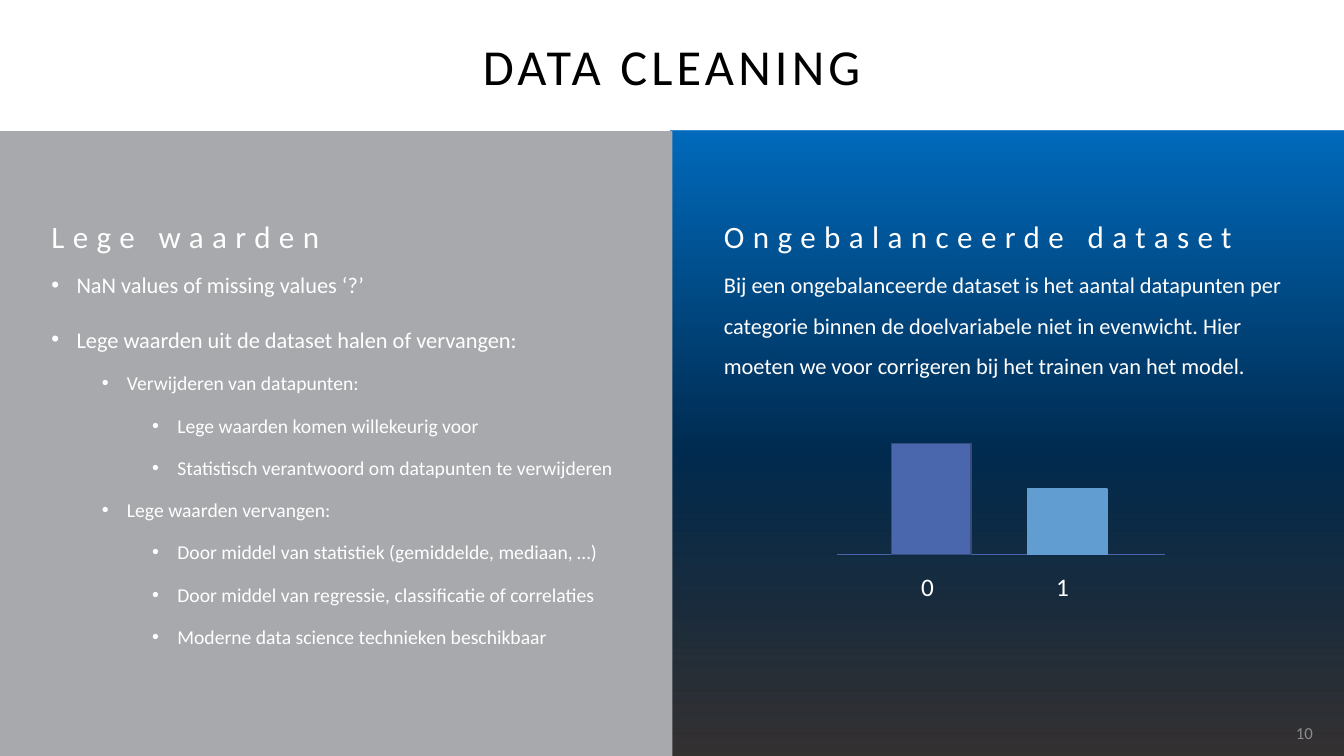
from lxml import etree
from pptx import Presentation
from pptx.dml.color import RGBColor
from pptx.enum.shapes import MSO_CONNECTOR, MSO_SHAPE
from pptx.enum.text import MSO_ANCHOR, PP_ALIGN
from pptx.oxml.ns import qn
from pptx.util import Inches, Pt

RECT = MSO_SHAPE.RECTANGLE
STRAIGHT = MSO_CONNECTOR.STRAIGHT
TOP, MIDDLE = MSO_ANCHOR.TOP, MSO_ANCHOR.MIDDLE
LEFT, CENTER, RIGHT = PP_ALIGN.LEFT, PP_ALIGN.CENTER, PP_ALIGN.RIGHT

COLORS = {
    "black": "000000", "white": "FFFFFF", "panel": "A7A9AC", "number": "8C8C8C",
    "indigo": "4A66AC", "indigo_edge": "374B7F", "sky": "629DD1",
    "shade": "040000", "navy": "002C52", "blue": "006ABC",
}


def add_rect(left, top, width, height, fill=None, line=None):
    sp = slide.shapes.add_shape(RECT, Inches(left), Inches(top), Inches(width), Inches(height))
    sp.shadow.inherit = False
    if fill:
        sp.fill.solid()
        sp.fill.fore_color.rgb = RGBColor.from_string(COLORS[fill])
    if line:
        sp.line.color.rgb = RGBColor.from_string(COLORS[line])
        sp.line.width = Pt(1)
    else:
        sp.line.fill.background()
    return sp


def add_text(box, paragraphs, color="white", anchor=TOP, align=LEFT, inset=None,
             spacing=None, tracking=None, tabs=()):
    """Add a text box; each paragraph is (text, size, bullet level or None)."""
    tf = slide.shapes.add_textbox(*map(Inches, box)).text_frame
    tf.word_wrap = True
    tf.vertical_anchor = anchor
    if inset is not None:
        tf.margin_left = tf.margin_top = tf.margin_right = tf.margin_bottom = Inches(inset)
    for i, (text, size, level) in enumerate(paragraphs):
        p = tf.paragraphs[0] if i == 0 else tf.add_paragraph()
        pPr = p._p.get_or_add_pPr()
        if level is not None:
            pPr.set("marL", str(Inches(0.25 + 0.5 * level)))
            pPr.set("indent", str(Inches(-0.25)))
            etree.SubElement(pPr, qn("a:buFont"), typeface="Arial")
            etree.SubElement(pPr, qn("a:buChar"), char="•")
            p.level = level
        if tabs:
            tab_list = etree.SubElement(pPr, qn("a:tabLst"))
            for pos in tabs:
                etree.SubElement(tab_list, qn("a:tab"), pos=str(Inches(pos)), algn="ctr")
        p.alignment = align
        if spacing:
            p.line_spacing = spacing
        if i:
            p.space_before = Pt(5 if level else 10)
        r = p.add_run()
        r.text = text
        r.font.name = "Calibri"
        r.font.size = Pt(size)
        r.font.color.rgb = RGBColor.from_string(COLORS[color])
        if tracking:
            r.font._element.set("spc", str(tracking * 100))


prs = Presentation()
prs.slide_width, prs.slide_height = Inches(13.33), Inches(7.5)
slide = prs.slides.add_slide(prs.slide_layouts[6])

# Panels
right_panel = add_rect(6.65, 1.3, 6.68, 6.2)
right_panel.fill.gradient()
right_panel.fill.gradient_angle = 90
stops = right_panel._element.spPr.find(qn("a:gradFill")).find(qn("a:gsLst"))
for stop in list(stops):
    stops.remove(stop)
for percent, name, opacity in [(0, "shade", 80), (50, "navy", 100), (100, "blue", 100)]:
    stop = etree.SubElement(stops, qn("a:gs"), pos=str(percent * 1000))
    clr = etree.SubElement(stop, qn("a:srgbClr"), val=COLORS[name])
    if opacity < 100:
        etree.SubElement(clr, qn("a:alpha"), val=str(opacity * 1000))
add_rect(0, 1.3, 6.67, 6.2, "panel")

# Title and column headings
add_text((0.65, 0, 12.03, 1.3), [("DATA CLEANING", 36, None)], "black", MIDDLE, CENTER, tracking=3)
for left, heading in [(0.51, "Lege waarden"), (7.18, "Ongebalanceerde dataset")]:
    add_text((left, 2, 5.65, 0.54), [(heading, 22.2, None)], anchor=MIDDLE, inset=0,
             spacing=1.4, tracking=6)

# Column bodies
missing_values = [
    ("NaN values of missing values ‘?’", 16, 0),
    ("Lege waarden uit de dataset halen of vervangen:", 16, 0),
    ("Verwijderen van datapunten:", 14, 1),
    ("Lege waarden komen willekeurig voor", 14, 2),
    ("Statistisch verantwoord om datapunten te verwijderen", 14, 2),
    ("Lege waarden vervangen:", 14, 1),
    ("Door middel van statistiek (gemiddelde, mediaan, …)", 14, 2),
    ("Door middel van regressie, classificatie of correlaties", 14, 2),
    ("Moderne data science technieken beschikbaar", 14, 2),
]
imbalance = (
    "Bij een ongebalanceerde dataset is het aantal datapunten per categorie binnen de "
    "doelvariabele niet in evenwicht. Hier moeten we voor corrigeren bij het trainen van het model."
)
add_text((0.51, 2.56, 5.64, 4.03), missing_values, inset=0, spacing=1.5)
add_text((7.18, 2.56, 5.67, 1.3), [(imbalance, 16, None)], inset=0, spacing=1.5)
add_text((12.63, 7.07, 0.49, 0.4), [("10", 12, None)], "number", MIDDLE, RIGHT)

# Class balance bars
baseline = 5.5
axis = slide.shapes.add_connector(STRAIGHT, Inches(8.3), Inches(baseline), Inches(11.55), Inches(baseline))
axis.line.color.rgb = RGBColor.from_string(COLORS["indigo"])
axis.line.width = Pt(0.5)
etree.SubElement(axis._element.spPr, qn("a:effectLst"))
for left, height, fill, edge in [(8.84, 1.1, "indigo", "indigo_edge"), (10.19, 0.65, "sky", "sky")]:
    add_rect(left, baseline - height, 0.79, height, fill, edge)
add_text((8.87, 5.62, 3.01, 0.4), [("\t0\t1", 18, None)], tabs=(0.23, 1.57))

prs.save("out.pptx")
